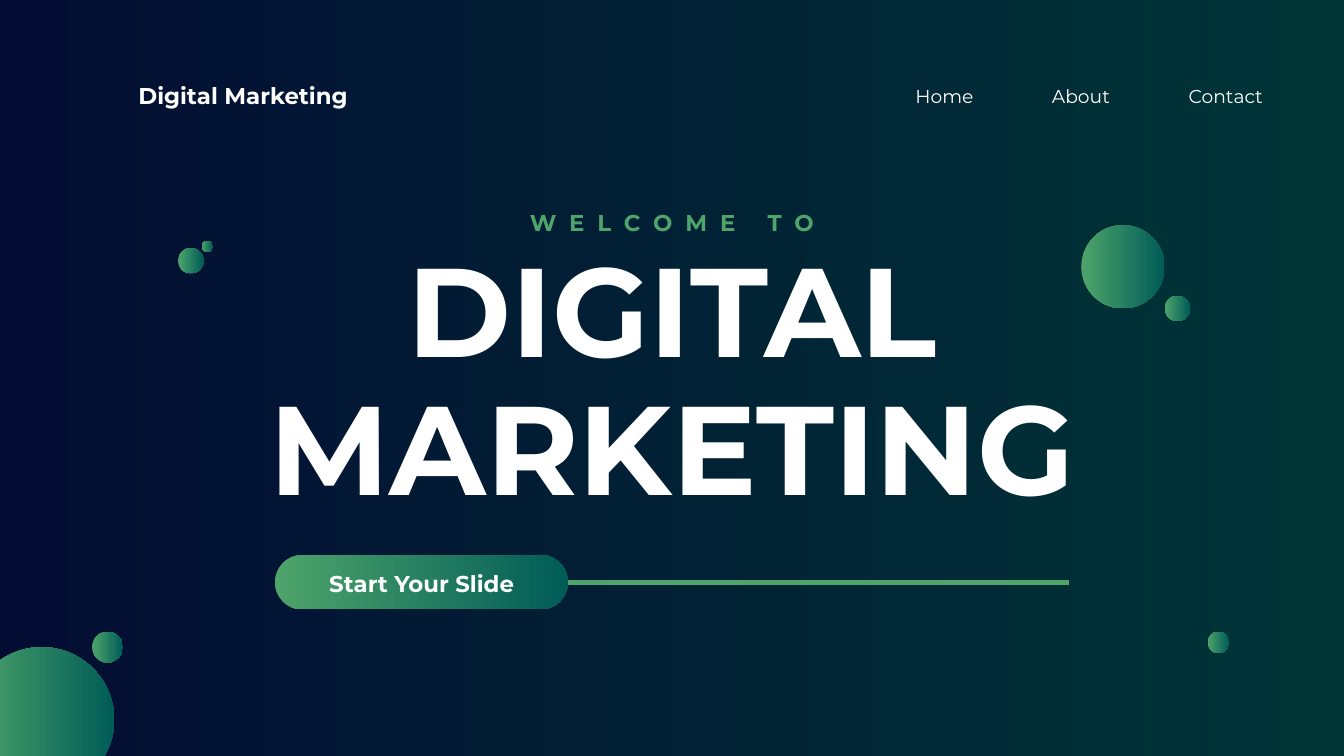
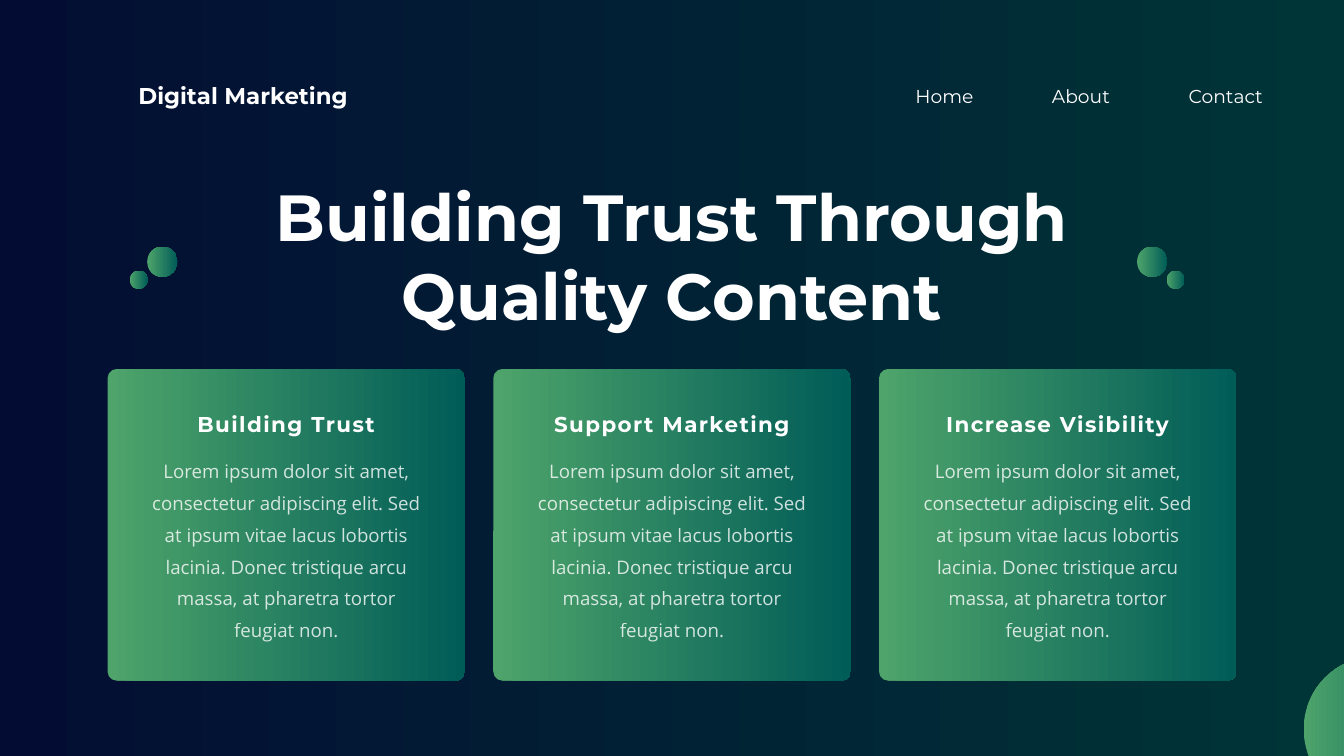
from dataclasses import dataclass

from lxml.etree import SubElement
from pptx import Presentation
from pptx.dml.color import RGBColor
from pptx.enum.shapes import MSO_CONNECTOR, MSO_SHAPE as Shape
from pptx.enum.text import MSO_AUTO_SIZE, PP_ALIGN as Align
from pptx.oxml.ns import qn
from pptx.util import Inches, Pt

NAVY = RGBColor(0x03, 0x0D, 0x33)
PINE = RGBColor(0x00, 0x35, 0x37)
GREEN = RGBColor(0x4E, 0xA4, 0x6A)
TEAL = RGBColor(0x00, 0x5C, 0x57)
WHITE = RGBColor(0xFF, 0xFF, 0xFF)
HEADING_FONT = "Montserrat"
BODY_FONT = "Open Sans"

COLUMNS, ROWS = 20, 11.25
CELL = Inches(1)

NAVIGATION = (("Home", 1.01), ("About", 1.01), ("Contact", 1.26))
NAVIGATION_GAP = 1.02
CARD_TITLES = ("Building Trust", "Support Marketing", "Increase Visibility")
CARD_TEXT = (
    "Lorem ipsum dolor sit amet, consectetur adipiscing elit. Sed at ipsum "
    "vitae lacus lobortis lacinia. Donec tristique arcu massa, at pharetra "
    "tortor feugiat non."
)
COVER_BUBBLES = (
    (1.37, 9.4, 0.46), (17.97, 9.4, 0.32), (16.09, 3.35, 1.24), (17.33, 4.4, 0.38),
    (-0.46, 9.63, 2.16), (2.65, 3.69, 0.38), (3, 3.58, 0.17),
)
SIDE_BUBBLES = ((0, 0.36, 0.27), (0.26, 0, 0.45))


@dataclass
class Box:
    left: float
    top: float
    width: float
    height: float

    def inside(self, column, row, width, height):
        return Box(self.left + column, self.top + row, width, height)

    def centred(self, row, width, height):
        return self.inside((self.width - width) / 2, row, width, height)

    def lengths(self):
        return [round(n * CELL) for n in (self.left, self.top, self.width, self.height)]


PAGE = Box(0, 0, COLUMNS, ROWS)


def fill_gradient(fill, first, last):
    fill.gradient()
    fill.gradient_angle = 0
    for stop, colour in zip(fill.gradient_stops, (first, last)):
        stop.color.rgb = colour


def add_gradient_shape(slide, kind, box, corner=None):
    shape = slide.shapes.add_shape(kind, *box.lengths())
    shape.shadow.inherit = False
    fill_gradient(shape.fill, GREEN, TEAL)
    shape.line.fill.background()
    if corner is not None:
        shape.adjustments[0] = corner
    return shape


def add_text(slide, box, text, size, leading, bold=True, align=Align.CENTER,
             colour=WHITE, font_name=HEADING_FONT, tracking=0, opacity=100):
    text_box = slide.shapes.add_textbox(*box.lengths())
    frame = text_box.text_frame
    frame.word_wrap = True
    frame.auto_size = MSO_AUTO_SIZE.SHAPE_TO_FIT_TEXT
    frame.margin_left = frame.margin_top = frame.margin_right = frame.margin_bottom = 0
    paragraph = frame.paragraphs[0]
    paragraph.text = text
    paragraph.alignment = align
    paragraph.line_spacing = Pt(leading)
    font = paragraph.font
    font.name, font.size, font.bold = font_name, Pt(size), bold
    font.color.rgb = colour
    properties = paragraph._p.pPr.find(qn("a:defRPr"))
    if tracking:
        properties.set("spc", str(round(tracking * 100)))
    if opacity < 100:
        colour_element = properties.find(".//" + qn("a:srgbClr"))
        SubElement(colour_element, qn("a:alpha")).set("val", str(opacity * 1000))


def add_label(slide, box, text, **options):
    add_text(slide, box, text, 24.5, 34.4, **options)


def add_bubbles(slide, box, bubbles, mirrored=False):
    for column, row, size in bubbles:
        if mirrored:
            column = box.width - column - size
        add_gradient_shape(slide, Shape.OVAL, box.inside(column, row, size, size))


def add_header(slide, box):
    add_label(slide, box.inside(0, 0, 3.6, 0.45), "Digital Marketing", align=Align.LEFT)
    column = 11.49
    for text, width in NAVIGATION:
        add_text(slide, box.inside(column, 0.06, width, 0.36), text, 20, 28, bold=False)
        column += width + NAVIGATION_GAP


def add_start_button(slide, box):
    button = add_gradient_shape(
        slide, Shape.ROUNDED_RECTANGLE, box.inside(0, 0, 4.36, box.height), 0.5)
    left, top, width, height = box.lengths()
    middle = top + height // 2
    line = slide.shapes.add_connector(
        MSO_CONNECTOR.STRAIGHT, left, middle, left + width, middle)
    line.begin_connect(button, 3)
    line.line.color.rgb = GREEN
    line.line.width = Pt(5.25)
    SubElement(line._element.spPr, qn("a:effectLst"))
    add_label(slide, box.inside(0.27, 0.15, 3.83, 0.45), "Start Your Slide")


def add_card(slide, box, title):
    add_gradient_shape(slide, Shape.ROUNDED_RECTANGLE, box, 0.03)
    add_text(slide, box.centred(0.57, 4.34, 0.43), title, 23, 32.2, tracking=1.5)
    add_text(slide, box.centred(1.22, 4.15, 2.79), CARD_TEXT, 20, 34, bold=False,
             font_name=BODY_FONT, opacity=80)


def add_cards(slide, box, card_width=5.32):
    step = (box.width - card_width) / (len(CARD_TITLES) - 1)
    for index, title in enumerate(CARD_TITLES):
        add_card(slide, box.inside(index * step, 0, card_width, box.height), title)


def add_page(presentation):
    slide = presentation.slides.add_slide(presentation.slide_layouts[6])
    fill_gradient(slide.background.fill, NAVY, PINE)
    add_header(slide, PAGE.inside(2.06, 1.15, 16.82, 0.45))
    return slide


def build_cover(presentation):
    slide = add_page(presentation)
    add_text(slide, PAGE.centred(3.63, 13.94, 4.18), "DIGITAL MARKETING", 135, 148.5)
    add_label(slide, PAGE.centred(3.04, 6.08, 0.45), "WELCOME TO",
              colour=GREEN, tracking=13.9)
    add_start_button(slide, PAGE.inside(4.09, 8.26, 11.82, 0.81))
    add_bubbles(slide, PAGE, COVER_BUBBLES)


def build_trust(presentation):
    slide = add_page(presentation)
    add_text(slide, PAGE.centred(2.63, 13.78, 2.31),
             "Building Trust Through Quality Content", 69.8, 83.8)
    add_cards(slide, PAGE.centred(5.49, 16.8, 4.64))
    sides = PAGE.inside(1.93, 3.67, 15.7, 0.63)
    for mirrored in (False, True):
        add_bubbles(slide, sides, SIDE_BUBBLES, mirrored)
    add_bubbles(slide, PAGE, [(19.4, 9.77, 2.16)])


def main():
    presentation = Presentation()
    presentation.slide_width = round(COLUMNS * CELL)
    presentation.slide_height = round(ROWS * CELL)
    build_cover(presentation)
    build_trust(presentation)
    presentation.save("out.pptx")


if __name__ == "__main__":
    main()
